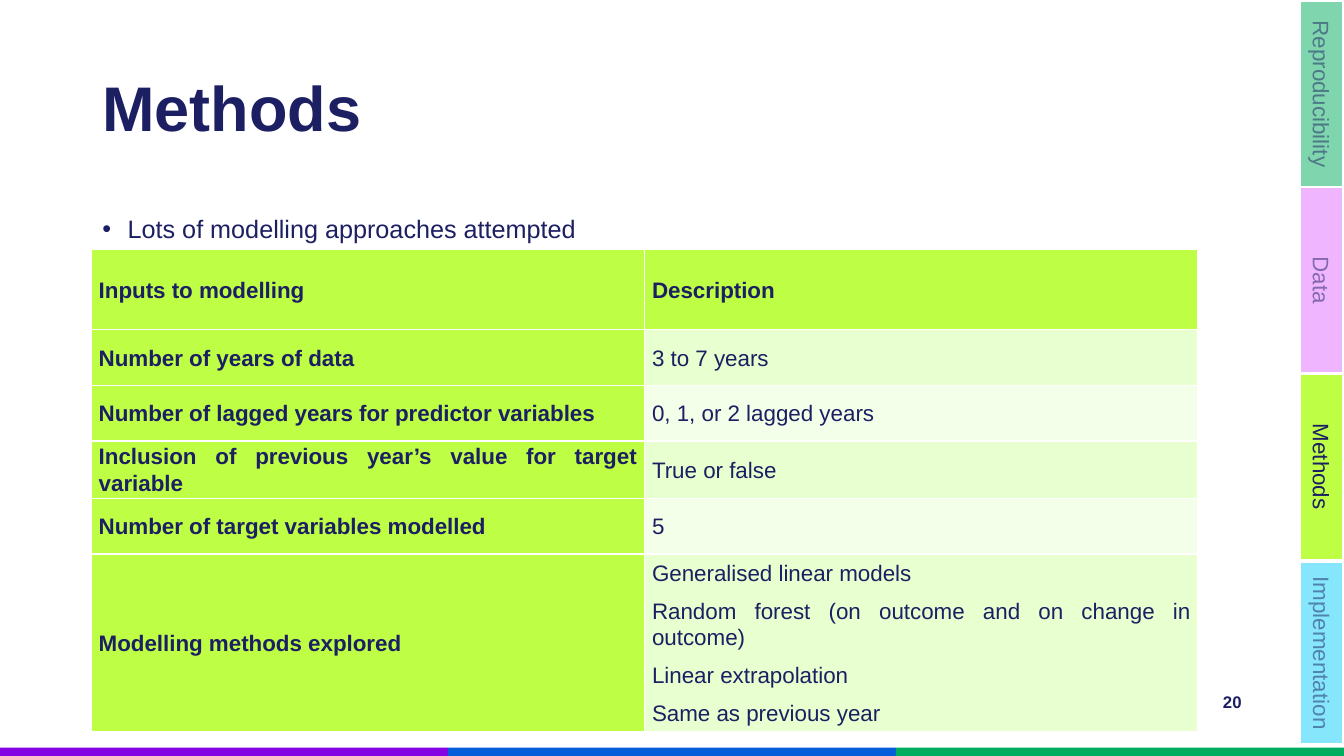
from pptx import Presentation
from pptx.dml.color import RGBColor
from pptx.enum import shapes, text
from pptx.oxml import ns
from pptx.util import Pt
from lxml import etree

PX = 9525  # EMU in one px, 96 px to the inch
WIDTH, HEIGHT = 1280, 720

COLORS = {
    "navy": "1C1F62", "white": "FFFFFF",
    "purple": "8504E3", "blue": "045EDA", "green": "00AD5F",
    "pink": "E06CFF", "lime": "BEFE45", "cyan": "0DCFFA",
    "band_dark": "E8FFCF", "band_light": "F4FFE9",
}

CURRENT_SECTION = "Methods"
SECTIONS = [
    ("Reproducibility", "green", 177),
    ("Data", "pink", 177),
    ("Methods", "lime", 177),
    ("Implementation", "cyan", 174),
]

ROWS = [
    ("Inputs to modelling", "Description"),
    ("Number of years of data", "3 to 7 years"),
    ("Number of lagged years for predictor variables", "0, 1, or 2 lagged years"),
    ("Inclusion of previous year’s value for target variable", "True or false"),
    ("Number of target variables modelled", "5"),
    ("Modelling methods explored",
     "Generalised linear models\n"
     "Random forest (on outcome and on change in outcome)\n"
     "Linear extrapolation\n"
     "Same as previous year"),
]
ROW_HEIGHTS = [76, 53, 53, 53, 53, 158]


def px(*lengths):
    return [round(n * PX) for n in lengths]


def rgb(name):
    return RGBColor.from_string(COLORS[name])


def place(sp, *box):
    sp.left, sp.top, sp.width, sp.height = px(*box)


def format_text(tf, size, bold=False, align=text.PP_ALIGN.LEFT):
    for p in tf.paragraphs:
        p.alignment = align
        for r in p.runs:
            r.font.name = "Arial"
            r.font.size = Pt(size)
            r.font.bold = bold
            r.font.color.rgb = rgb("navy")


def add_rect(slide, color, *box):
    sp = slide.shapes.add_shape(shapes.MSO_SHAPE.RECTANGLE, *px(*box))
    sp.shadow.inherit = False
    sp.fill.solid()
    sp.fill.fore_color.rgb = rgb(color)
    sp.line.fill.background()
    return sp


def fade(sp):
    """Make every colour set so far on the shape half transparent."""
    for clr in sp.element.iter(ns.qn("a:srgbClr")):
        etree.SubElement(clr, ns.qn("a:alpha")).set("val", "50000")


def add_tab(slide, index, name, color, width):
    """Add a section tab, turned to read downwards at the right edge."""
    sp = add_rect(slide, color, 1259 - width / 2, 69 + index * 177.5, width, 41)
    sp.rotation = 90
    tf = sp.text_frame
    tf.text = name
    tf.word_wrap = False
    format_text(tf, 16, align=text.PP_ALIGN.CENTER)
    if name != CURRENT_SECTION:
        fade(sp)
    sp.line.color.rgb = rgb("white")
    sp.line.width = Pt(1.5)


def fill_title(slide, wording):
    title = slide.shapes.title
    place(title, 88, 38, 1104, 139)
    tf = title.text_frame
    tf.text = wording
    tf.vertical_anchor = text.MSO_ANCHOR.MIDDLE
    tf.paragraphs[0].line_spacing = Pt(45)
    format_text(tf, 45, bold=True)


def fill_body(slide, wording):
    body = slide.placeholders[1]
    place(body, 88, 191, 1103, 442)
    tf = body.text_frame
    tf.text = wording
    tf.auto_size = text.MSO_AUTO_SIZE.NONE
    p = tf.paragraphs[0]
    p.line_spacing = Pt(27)
    p.space_before, p.space_after = Pt(10), Pt(14)
    format_text(tf, 18)
    indent, = px(24)
    pPr = p._p.get_or_add_pPr()
    pPr.set("marL", str(indent))
    pPr.set("indent", str(-indent))
    etree.SubElement(pPr, ns.qn("a:buChar")).set("char", "•")


def fill_cell(cell, wording, color, bold):
    cell.fill.solid()
    cell.fill.fore_color.rgb = rgb(color)
    cell.vertical_anchor = text.MSO_ANCHOR.MIDDLE
    cell.margin_left, cell.margin_right = px(7, 7)
    cell.margin_top = cell.margin_bottom = 0
    tf = cell.text_frame
    tf.text = wording
    for p in tf.paragraphs:
        p.line_spacing = 1.07
        p.space_after = Pt(8)
    format_text(tf, 16, bold, text.PP_ALIGN.JUSTIFY)


def add_inputs_table(slide):
    frame = slide.shapes.add_table(
        len(ROWS), 2, *px(87, 238, 1054, sum(ROW_HEIGHTS)))
    table = frame.table
    for i, (row, height) in enumerate(zip(ROWS, ROW_HEIGHTS)):
        table.rows[i].height, = px(height)
        for j, wording in enumerate(row):
            heading = i == 0 or j == 0
            band = "band_dark" if i % 2 else "band_light"
            fill_cell(table.cell(i, j), wording,
                      "lime" if heading else band, heading)


def add_slide_number(slide, number):
    tf = slide.shapes.add_textbox(*px(904, 649, 288, 38)).text_frame
    tf.word_wrap = True
    tf.text = number
    tf.vertical_anchor = text.MSO_ANCHOR.MIDDLE
    format_text(tf, 12, bold=True, align=text.PP_ALIGN.RIGHT)


def main():
    prs = Presentation()
    prs.slide_width, prs.slide_height = px(WIDTH, HEIGHT)
    slide = prs.slides.add_slide(prs.slide_layouts[1])
    for i, color in enumerate(("purple", "blue", "green")):
        add_rect(slide, color, i * WIDTH / 3, 712, WIDTH / 3, 8)
    fill_title(slide, "Methods")
    fill_body(slide, "Lots of modelling approaches attempted")
    add_slide_number(slide, "20")
    for i, section in enumerate(SECTIONS):
        add_tab(slide, i, *section)
    add_inputs_table(slide)
    prs.save("out.pptx")


if __name__ == "__main__":
    main()
